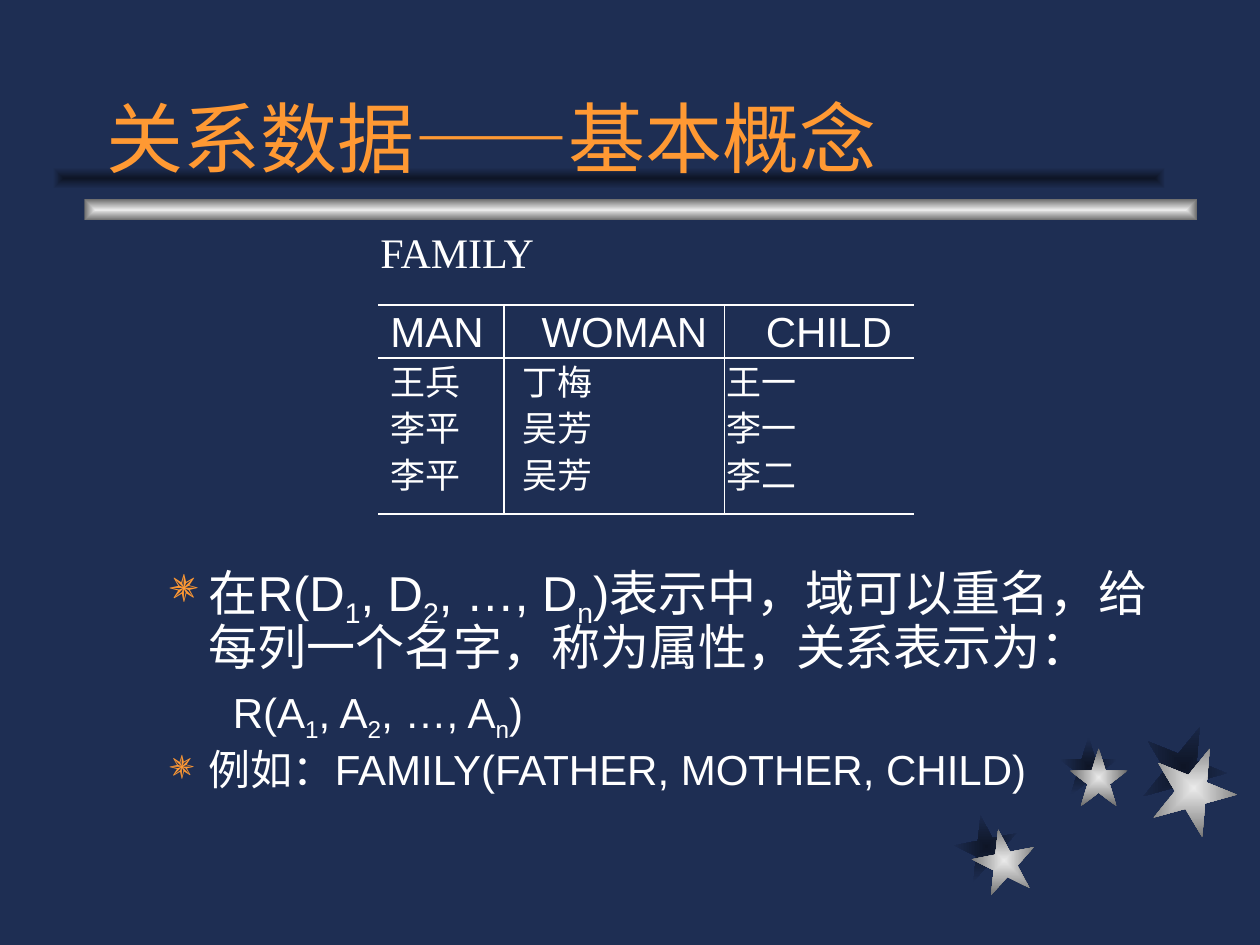
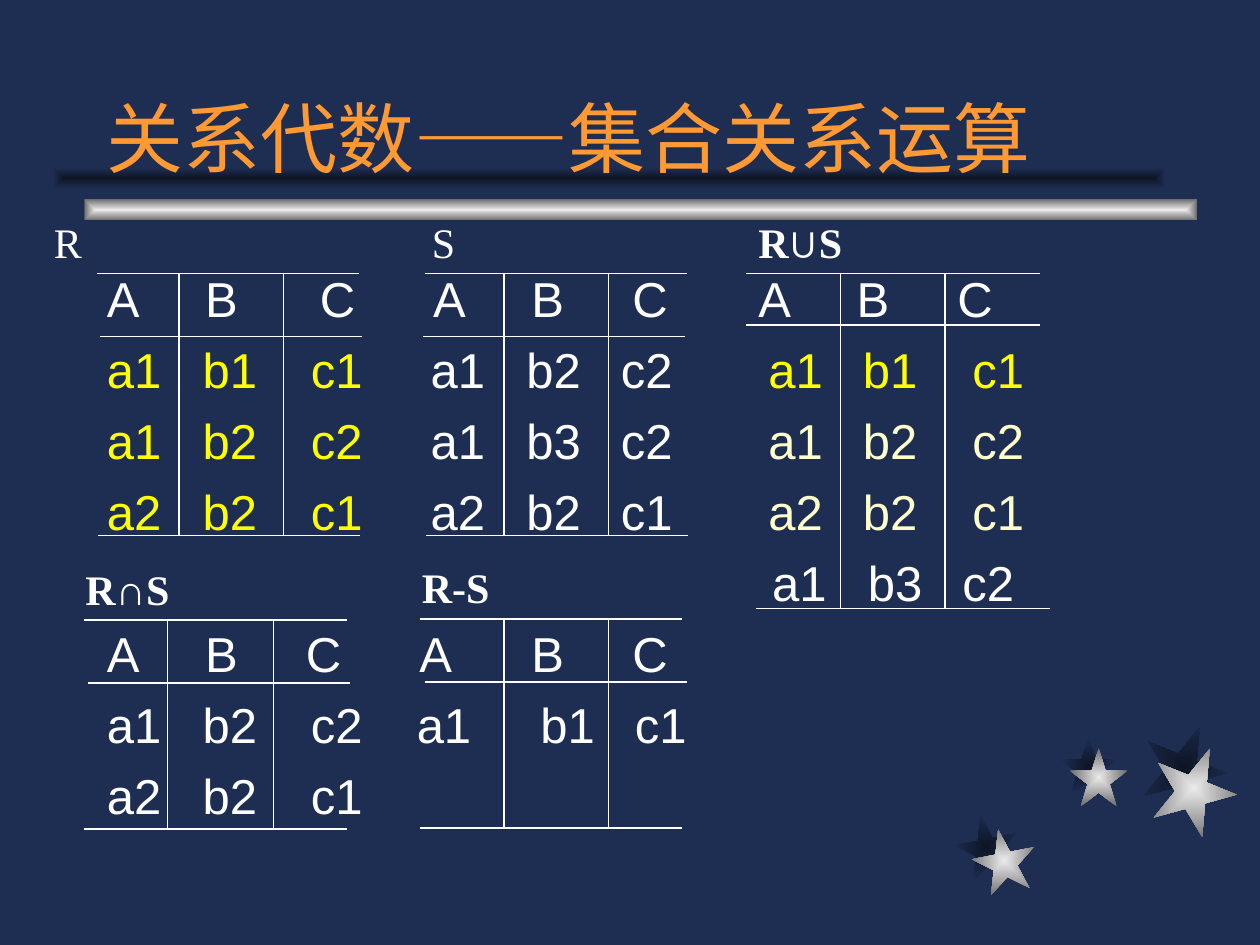
from lxml.etree import SubElement
from pptx import Presentation
from pptx.dml.color import RGBColor
from pptx.enum.shapes import MSO_CONNECTOR, MSO_SHAPE
from pptx.enum.text import MSO_ANCHOR
from pptx.oxml import parse_xml
from pptx.oxml.ns import qn
from pptx.util import Inches, Pt

HUES = {"back": "1E2E53", "dark": "0E1526", "light": "EAEAEA", "grey": "6C6C6C",
        "title": "FF9933", "text": "FFFFFF", "yellow": "FFFF00", "cream": "FFFFCC"}
SHADE, METAL = ("dark", "back"), ("light", "grey")
SANS, SERIF = "Arial", "Times New Roman"
NS = 'xmlns:a="http://schemas.openxmlformats.org/drawingml/2006/main"'

# Stars: left, top, size, turn, then the offset of the shadow
STARS = [(7.72, 6.58, 0.5, 349, -0.14, -0.11),
         (8.49, 5.94, 0.46, 0, -0.08, -0.09),
         (9.14, 5.92, 0.67, 22, -0.08, -0.17)]


def color(name):
    return RGBColor.from_string(HUES[name])


def apply(obj, vals):
    for key, val in vals.items():
        setattr(obj, key, val)


def glow(slide, kind, box, hues, turn=0):
    """Add a shape that fades from its centre to its edge."""
    shape = slide.shapes.add_shape(kind, *map(Inches, box))
    shape.shadow.inherit = False
    shape.rotation = turn
    shape.line.fill.background()
    stops = "".join(f'<a:gs pos="{pos}"><a:srgbClr val="{HUES[hue]}"/></a:gs>'
                    for pos, hue in zip((0, 100000), hues))
    fill = parse_xml(f'<a:gradFill {NS} rotWithShape="1"><a:gsLst>{stops}</a:gsLst>'
                     '<a:path path="rect"><a:fillToRect l="50000" t="50000" '
                     'r="50000" b="50000"/></a:path></a:gradFill>')
    shape._element.spPr.find(qn("a:prstGeom")).addnext(fill)


def line(slide, x1, y1, x2, y2):
    rule = slide.shapes.add_connector(MSO_CONNECTOR.STRAIGHT,
                                      *map(Inches, (x1, y1, x2, y2)))
    rule.line.color.rgb = color("text")
    rule.line.width = Pt(1)
    SubElement(rule._element.spPr, qn("a:effectLst"))


def grid(slide, width, rows, cols):
    """Draw rows given as (left, top) and uprights from first row to last."""
    for left, top in rows:
        line(slide, left, top, left + width, top)
    for x in cols:
        line(slide, x, rows[0][1], x, rows[-1][1])


def frame(slide, box, **vals):
    area = slide.shapes.add_textbox(*map(Inches, box)).text_frame
    apply(area, {"word_wrap": True, **vals})
    return area


def write(area, runs, size, name=SANS, tabs=(), bullet=None, indent=None, **vals):
    """Add a paragraph; each run is (text, hue) or (text, hue, extra font values)."""
    para = area.paragraphs[0]
    if para.runs:
        para = area.add_paragraph()
    apply(para, vals)
    props = para._p.get_or_add_pPr()
    if indent:
        for key, val in zip(("marL", "indent"), indent):
            props.set(key, str(Inches(val)))
    if bullet:
        hue = SubElement(props, qn("a:buClr"))
        SubElement(hue, qn("a:srgbClr"), val=HUES["title"])
        SubElement(props, qn("a:buChar"), char=bullet)
    if tabs:
        stops = SubElement(props, qn("a:tabLst"))
        for x in tabs:
            SubElement(stops, qn("a:tab"), pos=str(Inches(x)), algn="l")
    for text, hue, *extra in runs:
        run = para.add_run()
        run.text = text
        apply(run.font, {"size": Pt(size), "name": name, **(extra[0] if extra else {})})
        run.font.color.rgb = color(hue)
    return para


def lower(para, *spots):
    """Set the runs at these places as subscripts."""
    for spot in spots:
        para.runs[spot]._r.get_or_add_rPr().set("baseline", "-25000")


def label(slide, left, top, width, *runs):
    write(frame(slide, (left, top, width, 0.5)), runs, 24, SERIF, space_before=Pt(15))


def base(deck, title):
    """Add a slide with backdrop, stars, bars and title."""
    slide = deck.slides.add_slide(deck.slide_layouts[6])
    fill = slide.background.fill
    fill.solid()
    fill.fore_color.rgb = color("back")
    for x, y, size, turn, dx, dy in STARS:
        glow(slide, MSO_SHAPE.STAR_5_POINT, (x + dx, y + dy, size, size), SHADE, turn)
    for x, y, size, turn, *_ in STARS:
        glow(slide, MSO_SHAPE.STAR_5_POINT, (x, y, size, size), METAL, turn)
    glow(slide, MSO_SHAPE.RECTANGLE, (0.67, 1.58, 8.83, 0.17), METAL)
    glow(slide, MSO_SHAPE.RECTANGLE, (0.42, 1.33, 8.83, 0.17), SHADE)
    area = frame(slide, (0.75, 0.25, 8.5, 1.25), vertical_anchor=MSO_ANCHOR.BOTTOM)
    write(area, [(title, "title")], 44, SERIF)
    return slide


def notes(slide, box):
    area = frame(slide, box)
    tight = {"line_spacing": 0.9, "space_before": Pt(6)}
    point = {**tight, "bullet": "✵", "indent": (0.81, -0.31)}

    def series(head, letter, tail):
        parts = (head + letter, "1", ", " + letter, "2", ", …, " + letter, "n", tail)
        return [(part, "text") for part in parts]

    first = write(area, series("在R(", "D", ")表示中，域可以重名，给每列一个名字，"
                               "称为属性，关系表示为："), 28,
                  **{**point, "space_before": Pt(7)})
    second = write(area, series("R(", "A", ")"), 24, indent=(1.25, -0.25),
                   level=1, **tight)
    for para in (first, second):
        lower(para, 1, 3, 5)
    write(area, [("例如：FAMILY(FATHER, MOTHER, CHILD)", "text")], 24, **point)


def family(slide, left, top):
    label(slide, left - 0.08, top - 0.67, 4, ("FAMILY", "text"))
    area = frame(slide, (left, top, 4.25, 2.92))
    write(area, [("MAN\tWOMAN\tCHILD", "text")], 24, tabs=(1.2, 2.98),
          line_spacing=0.9, space_before=Pt(6))
    for names in (("王兵", "丁梅", "王一"), ("李平", "吴芳", "李一"),
                  ("李平", "吴芳", "李二")):
        write(area, [("\t".join(names), "text")], 20, tabs=(1.05, 2.67),
              line_spacing=0.9, space_before=Pt(5))
    grid(slide, 4.25, [(left, top + dy) for dy in (0, 0.42, 1.66)],
         (left + 1, left + 2.75))


def tuples(slide, box):
    """Write the rows of all five relations, set out by tab stops."""
    area = frame(slide, box)
    cells = (0.76, 1.62, 2.57, 3.33, 4.08, 5.25, 6, 6.87)

    def row(tabs, *parts):
        runs = [("\t" * (i > 0) + text.replace(" ", "\t"), hue)
                for i, (text, hue) in enumerate(parts)]
        write(area, runs, 28, tabs=tabs, space_before=Pt(7))

    row((0.78, 1.69, 2.59, 3.37, 4.17, 5.17, 5.95, 6.75), ("A B C A B C A B C", "text"))
    for r, s, hue in (("a1 b1 c1", "a1 b2 c2", "yellow"),
                      ("a1 b2 c2", "a1 b3 c2", "cream"),
                      ("a2 b2 c1", "a2 b2 c1", "cream")):
        row(cells, (r, "yellow"), (s, "text"), (r, hue))
    row((5.28, 6.04, 6.79), (" a1 b3 c2", "text"))
    row((0.78, 1.58, 2.48, 3.37, 4.17), ("A B C A B C", "text"))
    row((0.76, 1.62, 2.46, 3.44, 4.19), ("a1 b2 c2 a1 b1 c1", "text"))
    row(cells[:2], ("a2 b2 c1", "text"))


def concept(deck):
    slide = base(deck, "关系数据——基本概念")
    notes(slide, (0.75, 4.42, 8.5, 2.33))
    family(slide, 3, 2.42)


def algebra(deck):
    slide = base(deck, "关系代数——集合关系运算")
    tuples(slide, (0.75, 2.08, 8.5, 4.5))
    bold = {"bold": True}

    def joint(sign):
        return (("R", "text", bold), (sign, "text", {**bold, "name": SANS}),
                ("S", "text", bold))

    high, tall, low = (2.17, 2.67, 4.25), (2.17, 2.58, 4.83), (4.92, 5.42, 6.58)
    for name, spot, width, lefts, tops, cols in (
            ([("R", "text")], (0.33, 1.67, 0.67), 2.08, (0.77, 0.79, 0.78), high,
             (1.42, 2.25)),
            ([("S", "text")], (3.33, 1.67, 0.67), 2.08, (3.37, 3.36, 3.38), high,
             (4, 4.83)),
            (joint("∪"), (5.92, 1.67, 0.92), 2.33, (5.92, 5.92, 6), tall, (6.67, 7.5)),
            (joint("∩"), (0.58, 4.42, 1), 2.08, (0.67, 0.7, 0.67), low, (1.33, 2.17)),
            ([("R-S", "text", bold)], (3.25, 4.41, 1), 2.08, (3.33, 3.37, 3.33),
             [y - 0.01 for y in low], (4, 4.83))):
        label(slide, *spot, *name)
        grid(slide, width, list(zip(lefts, tops)), cols)


def main():
    deck = Presentation()
    apply(deck, {"slide_width": Inches(10), "slide_height": Inches(7.5)})
    concept(deck)
    algebra(deck)
    deck.save("out.pptx")


if __name__ == "__main__":
    main()
